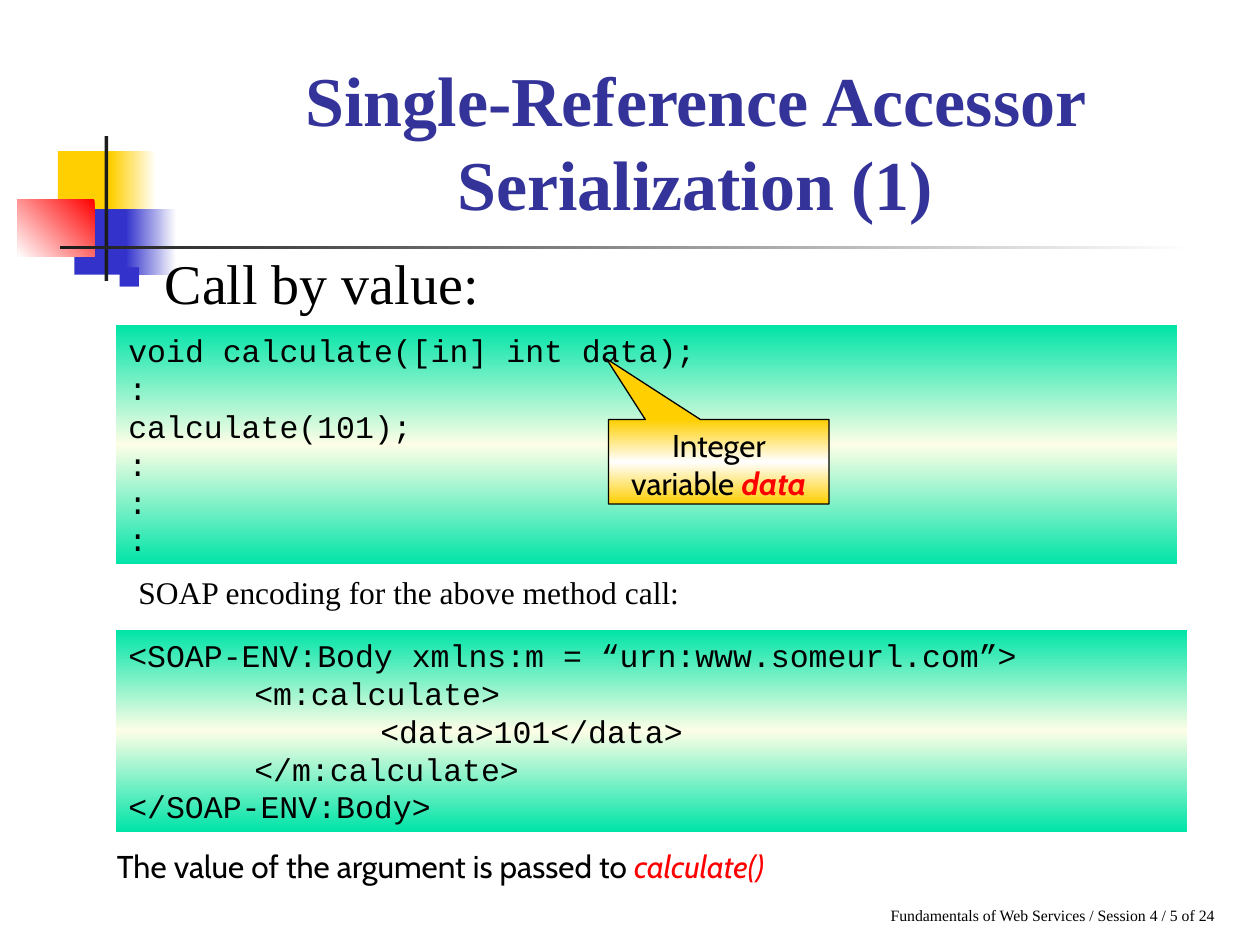
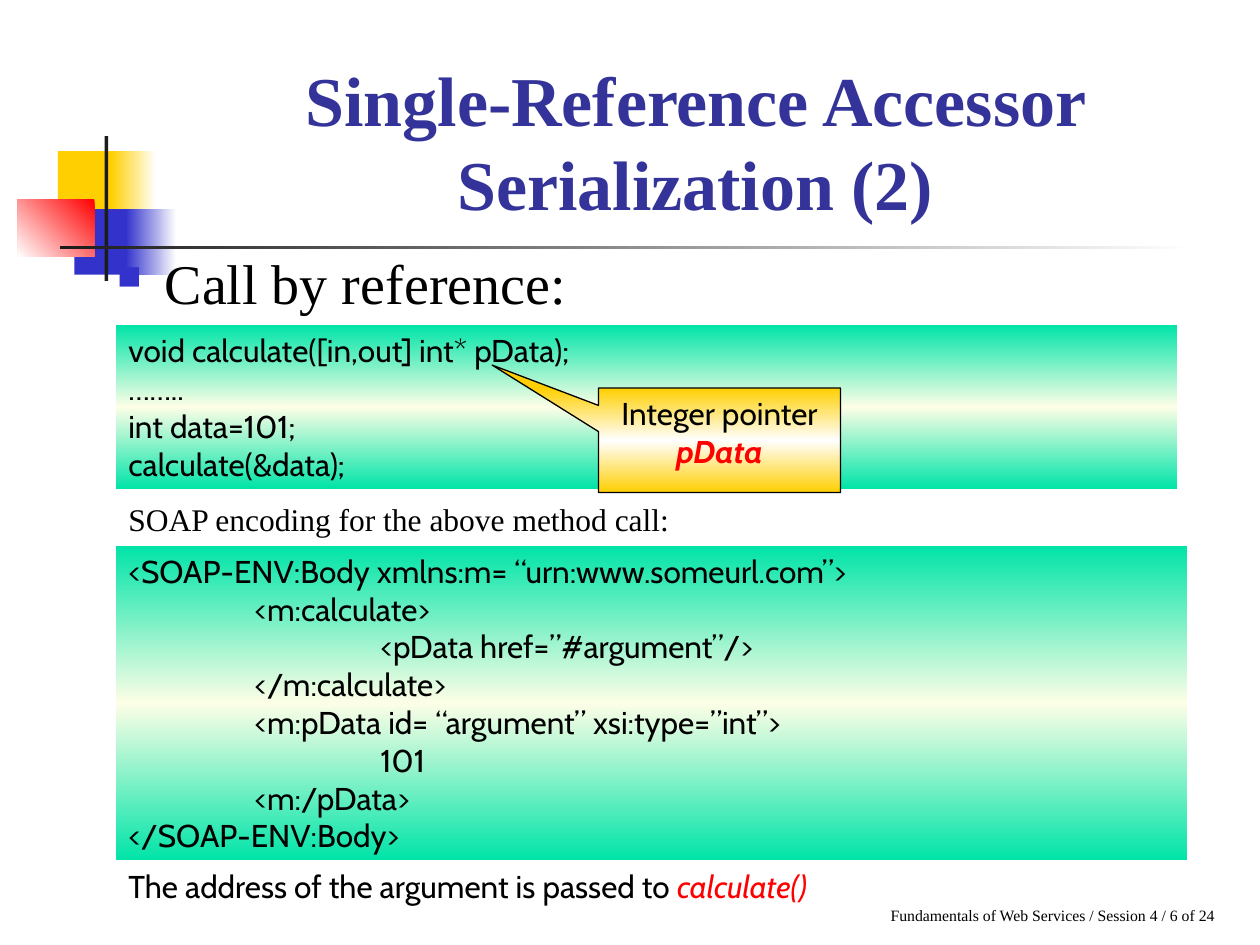
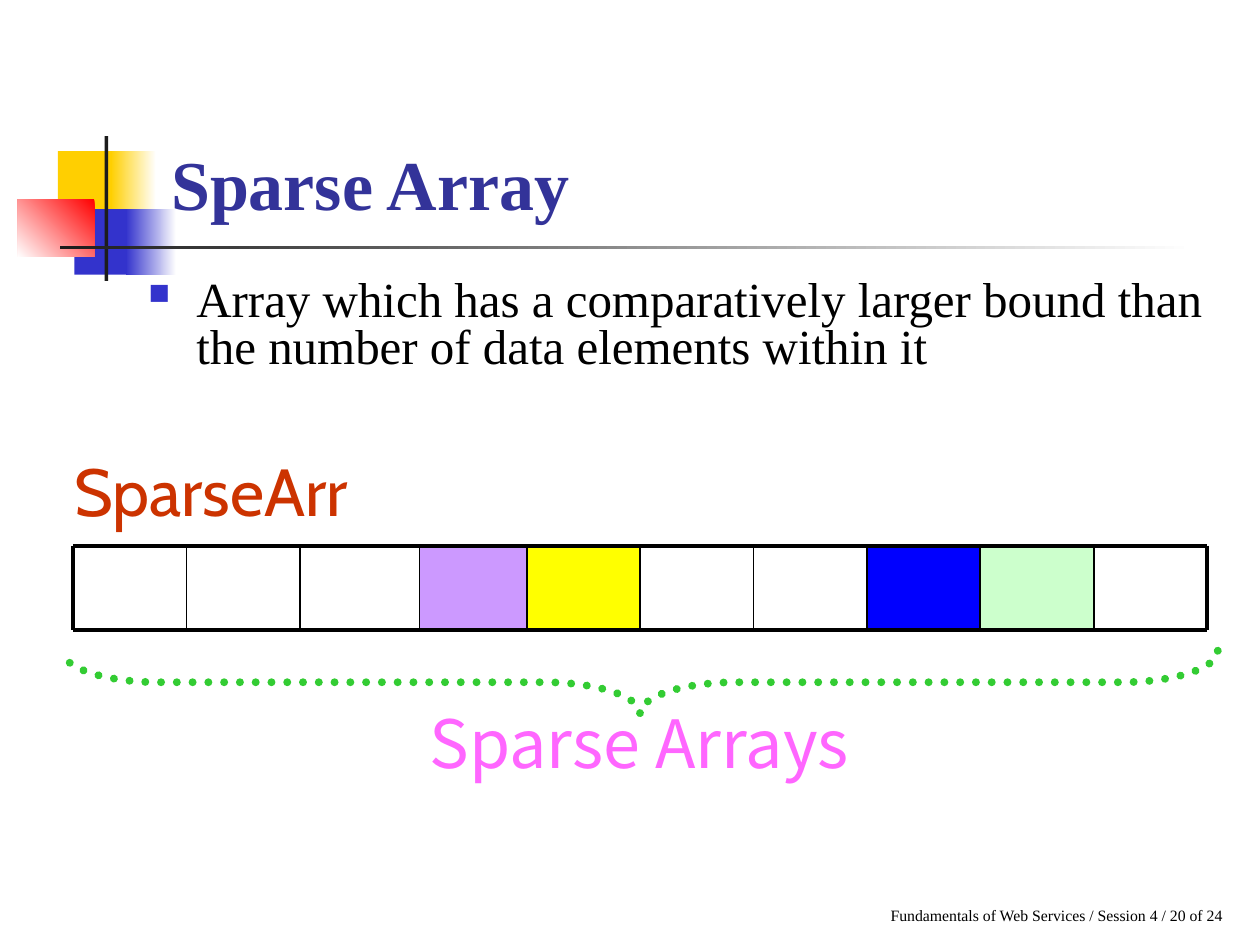
from dataclasses import dataclass

from lxml import etree
from pptx import Presentation
from pptx import util as u
from pptx.dml.color import RGBColor
from pptx.enum import dml, shapes, text
from pptx.oxml import ns

PX = 9144
SERIF, SANS, MONO, LABEL = "Times New Roman", "Cabin", "Courier New", "Noto Sans CJK KR"
BLACK, WHITE, RED = "000000", "FFFFFF", "FF0000"
GOLD, BLUE, DARK, NAVY = "FFCF01", "3333CC", "1C1C1C", "333399"
MINT = ("00E4A8", "FDFEE6", "00E4A8")
GLOW = (GOLD, WHITE, GOLD)
RECT = shapes.MSO_SHAPE.RECTANGLE
CALL = shapes.MSO_SHAPE.RECTANGULAR_CALLOUT
LEFT, MID = text.PP_ALIGN.LEFT, text.PP_ALIGN.CENTER


@dataclass(frozen=True)
class Box:
    """A place on the slide in px."""
    x: int
    y: int
    w: int
    h: int

    def emu(self) -> tuple:
        """Give left, top, width and height in EMU."""
        return tuple(u.Emu(n * PX) for n in (self.x, self.y, self.w, self.h))


@dataclass(frozen=True)
class Block:
    """A filled rectangle: one colour, or several along an angle."""
    box: Box
    fill: tuple
    turn: int = 0


@dataclass(frozen=True)
class Note:
    """A callout with its pointer and its stressed word."""
    box: Box
    tip: tuple
    words: str
    key: str


@dataclass(frozen=True)
class Page:
    """The parts of a slide that shows a call and its encoding."""
    num: int
    head: str
    lead: str
    font: str
    call: Block
    code: str
    soap: Block
    body: str
    mid: Box
    end: Box
    close: str
    note: Note


MOTIF = (
    Block(Box(46, 120, 48, 52), (GOLD,)),
    Block(Box(88, 120, 36, 52), (WHITE, GOLD), 180),
    Block(Box(59, 166, 46, 52), (BLUE,)),
    Block(Box(100, 166, 40, 52), (WHITE, BLUE), 180),
    Block(Box(14, 158, 61, 46), (RED, WHITE), 135),
    Block(Box(83, 108, 3, 115), (DARK,)),
    Block(Box(48, 195, 900, 3), (WHITE, DARK), 180),
)

PAGES = (
    Page(5, "Single-Reference Accessor Serialization (1)", "Call by value:", MONO,
         Block(Box(92, 258, 842, 190), MINT, 90),
         "void calculate([in] int data);\n:\ncalculate(101);\n:\n:\n:",
         Block(Box(92, 500, 850, 160), MINT, 90),
         "<SOAP-ENV:Body xmlns:m = “urn:www.someurl.com”>\n"
         "\t<m:calculate>\n"
         "\t\t<data>101</data>\n"
         "\t</m:calculate>\n"
         "</SOAP-ENV:Body>",
         Box(100, 450, 558, 40), Box(83, 667, 750, 40),
         "The value of the argument is passed to ",
         Note(Box(483, 333, 175, 67), (-0.51, -1.22), "Integer variable ", "data")),
    Page(6, "Single-Reference Accessor Serialization (2)", "Call by reference:", SANS,
         Block(Box(92, 258, 842, 130), MINT, 90),
         "void calculate([in,out] int* pData);\n……..\nint data=101;\ncalculate(&data);",
         Block(Box(92, 433, 850, 250), MINT, 90),
         "<SOAP-ENV:Body xmlns:m= “urn:www.someurl.com”>\n"
         "\t<m:calculate>\n"
         "\t\t<pData href=”#argument”/>\n"
         "\t</m:calculate>\n"
         "\t<m:pData id= “argument” xsi:type=”int”>\n"
         "\t\t101\n"
         "\t<m:/pData>\n"
         "</SOAP-ENV:Body>",
         Box(92, 392, 558, 40), Box(92, 683, 750, 40),
         "The address of the argument is passed to ",
         Note(Box(475, 308, 192, 83), (-0.94, -0.72), "Integer pointer ", "pData")),
)

CELLS = {8: "CCFFCC", 7: "0000FF", 4: "FFFF00", 3: "CC99FF"}
EDGES = [58 + 90 * i + 5 * (i == 3) for i in range(11)]
TOP, BASE = 433, 500


def hue(code: str) -> RGBColor:
    """Turn a hex string into a colour."""
    return RGBColor.from_string(code)


def add(parent, tag: str, **attrs):
    """Append a drawing element and return it."""
    return etree.SubElement(parent, ns.qn(tag), {k: str(v) for k, v in attrs.items()})


def blend(shape, fill: tuple, turn: int) -> None:
    """Fill a shape with evenly spaced colours."""
    grad = etree.Element(ns.qn("a:gradFill"), rotWithShape="1")
    stops = add(grad, "a:gsLst")
    for i, code in enumerate(fill):
        stop = add(stops, "a:gs", pos=100000 * i // (len(fill) - 1))
        add(stop, "a:srgbClr", val=code)
    add(grad, "a:lin", ang=turn * 60000, scaled=0)
    shape.element.spPr.find(ns.qn("a:prstGeom")).addnext(grad)


def draw(slide, block: Block, kind=RECT, line: str = ""):
    """Draw a filled preset shape, outlined if a line colour is given."""
    shape = slide.shapes.add_shape(kind, *block.box.emu())
    shape.shadow.inherit = False
    if line:
        shape.line.color.rgb = hue(line)
        shape.line.width = u.Pt(0.75)
    else:
        shape.line.fill.background()
    if len(block.fill) > 1:
        blend(shape, block.fill, block.turn)
    else:
        shape.fill.solid()
        shape.fill.fore_color.rgb = hue(block.fill[0])
    return shape


def mark(para) -> None:
    """Give a paragraph a hanging square bullet."""
    props = para._p.get_or_add_pPr()
    props.set("marL", str(38 * PX))
    props.set("indent", str(-38 * PX))
    add(add(props, "a:buClr"), "a:srgbClr", val=BLUE)
    add(props, "a:buSzPct", val=60000)
    add(props, "a:buChar", char="■")


def write(shape, words: str, *, size: int = 18, font: str = SERIF, color: str = BLACK,
          bold: bool = False, align=LEFT, anchor=text.MSO_ANCHOR.TOP, bullet: bool = False,
          space: float = 1.0, key: str = "", heavy: bool = False) -> None:
    """Write lines into a shape, with an optional red italic ending."""
    frame = shape.text_frame
    frame.word_wrap = True
    frame.vertical_anchor = anchor
    for i, line in enumerate(words.split("\n")):
        para = frame.add_paragraph() if i else frame.paragraphs[0]
        if bullet:
            mark(para)
        if "\t" in line:
            tabs = add(para._p.get_or_add_pPr(), "a:tabLst")
            for stop in (100, 200):
                add(tabs, "a:tab", pos=stop * PX, algn="l")
        para.alignment = align
        para.line_spacing = space
        para.font.size = u.Pt(size)
        for part, tint, thick, slant in ((line, color, bold, False), (key, RED, heavy, True)):
            if part:
                run = para.add_run()
                run.text = part
                run.font.name, run.font.size = font, u.Pt(size)
                run.font.bold, run.font.italic = thick, slant
                run.font.color.rgb = hue(tint)


def label(slide, box: Box, words: str, **form) -> None:
    """Add a text box."""
    write(slide.shapes.add_textbox(*box.emu()), words, **form)


def rule(slide, x: int, y: int, end: int, base: int, width: float) -> None:
    """Draw a straight black line."""
    ends = [u.Emu(n * PX) for n in (x, y, end, base)]
    line = slide.shapes.add_connector(shapes.MSO_CONNECTOR.STRAIGHT, *ends)
    line.line.color.rgb = hue(BLACK)
    line.line.width = u.Pt(width)
    add(line._element.spPr, "a:effectLst")


def start(deck, num: int, head: str, align=MID):
    """Add a slide with the motif, footer and title."""
    slide = deck.slides.add_slide(deck.slide_layouts[6])
    for block in MOTIF:
        draw(slide, block)
    label(slide, Box(697, 714, 303, 25),
          f"Fundamentals of Web Services / Session 4 / {num} of 24", size=9)
    label(slide, Box(126, 23, 852, 160), head, size=40, color=NAVY, bold=True,
          align=align, anchor=text.MSO_ANCHOR.BOTTOM)
    return slide


def show(deck, page: Page) -> None:
    """Build a slide with a call and its encoding."""
    slide = start(deck, page.num, page.head)
    label(slide, Box(83, 192, 850, 67), page.lead, size=32, bullet=True)
    for block, code in ((page.call, page.code), (page.soap, page.body)):
        write(draw(slide, block), code, font=page.font, anchor=text.MSO_ANCHOR.MIDDLE)
    label(slide, page.mid, "SOAP encoding for the above method call:")
    label(slide, page.end, page.close, font=SANS, key="calculate()")
    note = page.note
    shape = draw(slide, Block(note.box, GLOW, 90), CALL, BLACK)
    shape.adjustments[0], shape.adjustments[1] = note.tip
    write(shape, note.words, font=SANS, align=MID, key=note.key, heavy=True)


def brace(slide) -> None:
    """Draw the dotted brace below the array."""
    shape = slide.shapes.add_shape(shapes.MSO_SHAPE.RIGHT_BRACE, *Box(483, 83, 50, 917).emu())
    shape.rotation = 90
    shape.adjustments[0] = 1.53
    shape.shadow.inherit = False
    shape.fill.background()
    shape.line.color.rgb = hue("33CC33")
    shape.line.width = u.Pt(4.5)
    shape.line.dash_style = dml.MSO_LINE.ROUND_DOT
    shape.element.spPr.find(ns.qn("a:ln")).set("cap", "rnd")


def array(deck) -> None:
    """Build the slide on sparse arrays."""
    slide = start(deck, 20, "Sparse Array", LEFT)
    label(slide, Box(108, 217, 892, 100),
          "Array which has a comparatively larger bound than "
          "the number of data elements within it", size=28, bullet=True, space=0.8)
    label(slide, Box(49, 352, 265, 74), "SparseArr", size=38, font=SANS, color="CC3300")
    for i, code in CELLS.items():
        draw(slide, Block(Box(EDGES[i], TOP, EDGES[i + 1] - EDGES[i], BASE - TOP), (code,)))
    for y in (TOP, BASE):
        rule(slide, EDGES[0], y, EDGES[-1], y, 2.25)
    for x in EDGES:
        rule(slide, x, TOP, x, BASE, 2.25 if x in (EDGES[0], EDGES[-1]) else 1)
    brace(slide)
    label(slide, Box(331, 552, 372, 74), "Sparse Arrays", size=38, font=LABEL, color="FF66FF")


def main() -> None:
    """Build and save the deck."""
    deck = Presentation()
    deck.slide_width, deck.slide_height = u.Emu(1000 * PX), u.Emu(750 * PX)
    for page in PAGES:
        show(deck, page)
    array(deck)
    deck.save("out.pptx")


if __name__ == "__main__":
    main()
